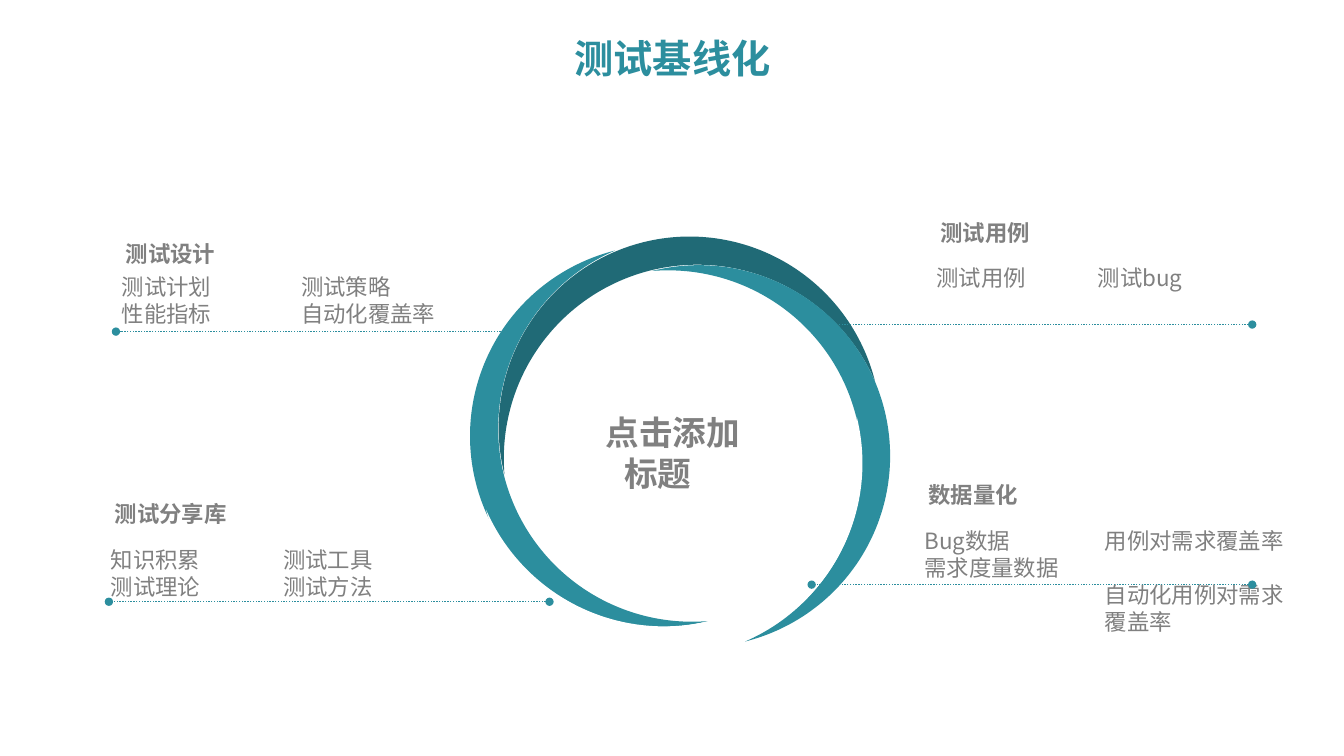
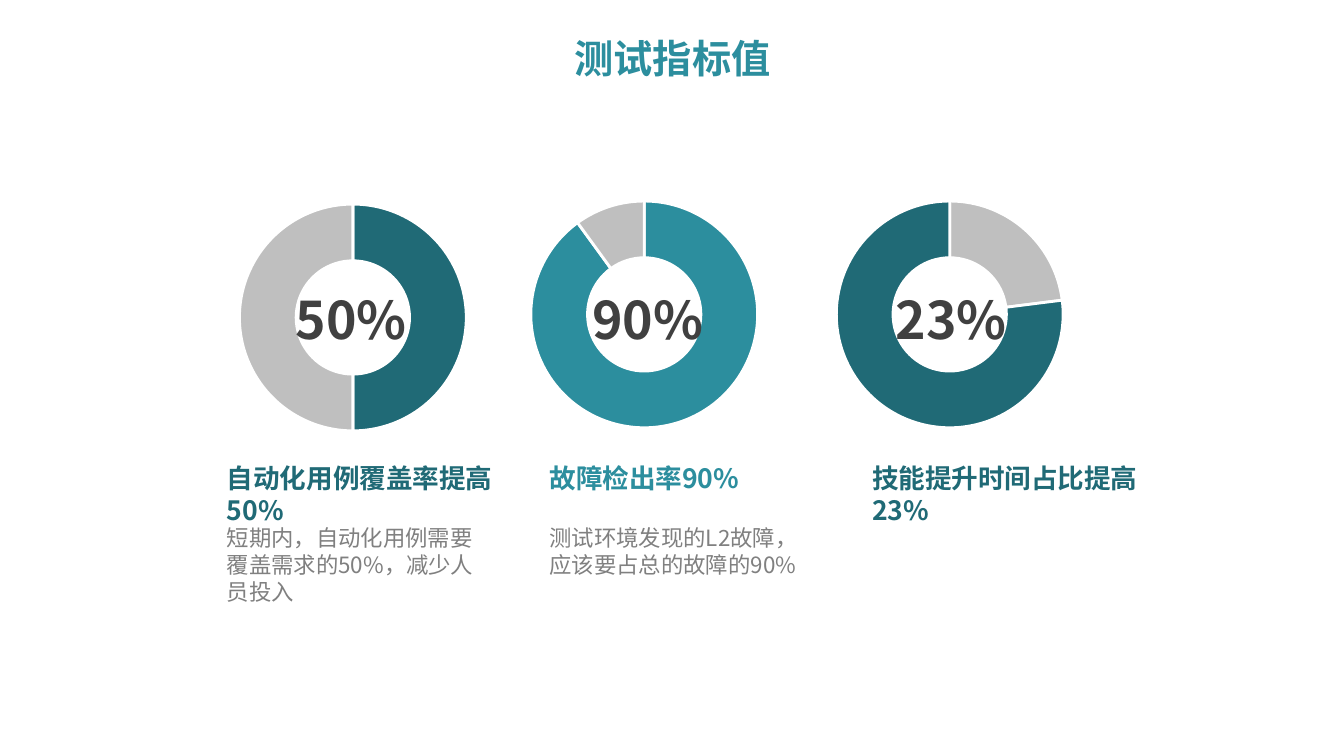
from pptx import Presentation
from pptx.chart.data import CategoryChartData
from pptx.dml.color import RGBColor
from pptx.enum import chart as charts, dml, shapes, text
from pptx.oxml import parse_xml
from pptx.oxml.ns import nsdecls, qn
from pptx.util import Inches, Pt

TEAL, DARK, SILVER = "2C8E9E", "206A76", "BFBFBF"
GREY, INK, WHITE = "808080", "404040", "FFFFFF"
FONT, TITLE_FONT = "Noto Sans CJK SC", "Montserrat"

# Slide 1: ring of moons (left, top, rotation, colour)
RING = [
    (4.69, 2.66, 345.9, TEAL),
    (5.66, 1.43, 75.9, DARK),
    (6.9, 2.4, 165.9, TEAL),
    (5.94, 3.62, 255.9, WHITE),
]
CENTRE = ["点击添加", "标题"]

# Topics around the ring; rule is (right end, left end, height)
TOPICS = [
    dict(heading="测试设计", left=1.11, heading_top=2.33, body_top=2.66, step=1.78,
         columns=[["测试计划", "性能指标"], ["测试策略", "自动化覆盖率"]],
         rule=(5.03, 1.15, 3.29)),
    dict(heading="测试分享库", left=1, heading_top=4.91, body_top=5.37, step=1.71,
         columns=[["知识积累", "测试理论"], ["测试工具", "测试方法"]],
         rule=(5.45, 1.08, 5.97)),
    dict(heading="测试用例", left=9.19, heading_top=2.12, body_top=2.57, step=1.6,
         columns=[["测试用例"], ["测试bug"]],
         rule=(12.42, 8.05, 3.22)),
    dict(heading="数据量化", left=9.07, heading_top=4.72, body_top=5.18, step=1.79,
         columns=[["Bug数据", "需求度量数据"],
                  ["用例对需求覆盖率", "自动化用例对需求覆盖率"]],
         gaps=(0, 19.5), rule=(12.42, 8.05, 5.8)),
]

# Slide 2: chart box, label left, slices (value, colour), caption
METRICS = [
    dict(chart=(1.93, 1.89, 3.14), label="50%", label_left=2.82,
         slices=[(50, DARK), (None, TEAL), (50, SILVER)],
         left=2.18, width=2.82, colour=DARK,
         heading="自动化用例覆盖率提高50%",
         body="短期内，自动化用例需要覆盖需求的50%，减少人员投入"),
    dict(chart=(4.29, 1.86, 4.2), label="90%", label_left=5.76,
         slices=[(90, TEAL), (None, TEAL), (10, SILVER)],
         left=5.38, width=2.82, colour=TEAL,
         heading="故障检出率90%",
         body="测试环境发现的L2故障，应该要占总的故障的90%"),
    dict(chart=(7.32, 1.86, 4.2), label="23%", label_left=8.77,
         slices=[(23, SILVER), (None, TEAL), (77, DARK)],
         left=8.58, width=2.92, colour=DARK,
         heading="技能提升时间占比提高23%", body=None),
]
CHART_HEIGHT, DONUT = 2.52, 2.25


def rgb(colour):
    return RGBColor.from_string(colour)


def style(paragraph, size, colour, bold=False, latin=FONT):
    for run in paragraph.runs:
        run.font.size, run.font.bold, run.font.name = Pt(size), bold, latin
        run.font.color.rgb = rgb(colour)
        run.font._element.find(qn("a:latin")).addnext(
            parse_xml(f'<a:ea {nsdecls("a")} typeface="{FONT}"/>'))


def add_text(slide, box, lines, size=16, colour=GREY, bold=False,
             align=None, margins=(0.1, 0.05), wrap=True, gap=0):
    frame = slide.shapes.add_textbox(*map(Inches, box)).text_frame
    frame.word_wrap = wrap
    frame.margin_left = frame.margin_right = Inches(margins[0])
    frame.margin_top = frame.margin_bottom = Inches(margins[1])
    frame.text = "\n".join(lines)
    for paragraph in frame.paragraphs:
        paragraph.alignment = align
        style(paragraph, size, colour, bold)
    frame.paragraphs[0].space_after = Pt(gap)
    return frame


def add_filled(slide, kind, box, colour):
    shape = slide.shapes.add_shape(kind, *map(Inches, box))
    shape.shadow.inherit = False
    shape.fill.solid()
    shape.fill.fore_color.rgb = rgb(colour)
    shape.line.fill.background()
    return shape


def add_master_panel(deck, slide):
    # Masters cannot create shapes, so the panel is drawn and then moved
    panel = add_filled(slide, shapes.MSO_SHAPE.RECTANGLE,
                       (0, 0.98, 13.33, 6.52), WHITE)
    panel._element.spPr.find(qn("a:solidFill"))[0].append(
        parse_xml(f'<a:alpha {nsdecls("a")} val="92000"/>'))
    deck.slide_master.shapes._spTree.insert(2, panel._element)


def add_slide(deck, heading):
    slide = deck.slides.add_slide(deck.slide_layouts[5])
    title = slide.shapes.title
    title.left, title.top, title.width, title.height = map(
        Inches, (0.92, 0.23, 11.5, 0.75))
    frame = title.text_frame
    frame.text = heading
    frame.vertical_anchor = text.MSO_ANCHOR.MIDDLE
    frame.paragraphs[0].alignment = text.PP_ALIGN.CENTER
    frame.paragraphs[0].line_spacing = 0.9
    style(frame.paragraphs[0], 28, TEAL, True, TITLE_FONT)
    return slide


def add_moon(slide, left, top, rotation, colour):
    moon = add_filled(slide, shapes.MSO_SHAPE.MOON, (left, top, 1.9, 3.79), colour)
    moon.adjustments[0] = 0.152
    moon.rotation = rotation


def add_rule(slide, start, end, y):
    rule = slide.shapes.add_connector(shapes.MSO_CONNECTOR.STRAIGHT,
                                      *map(Inches, (start, y, end, y)))
    rule.line.color.rgb = rgb(TEAL)
    rule.line.width = Pt(1)
    rule.line.dash_style = dml.MSO_LINE.ROUND_DOT
    for tag in ("headEnd", "tailEnd"):
        rule.line._get_or_add_ln().append(
            parse_xml(f'<a:{tag} {nsdecls("a")} type="oval"/>'))
    rule._element.spPr.append(parse_xml(f'<a:effectLst {nsdecls("a")}/>'))


def add_topic(slide, topic):
    left, step = topic["left"], topic["step"]
    gaps = topic.get("gaps", (0, 0))
    for i, (lines, gap) in enumerate(zip(topic["columns"], gaps)):
        add_text(slide, (left + i * step, topic["body_top"], step + 0.2, 0.64),
                 lines, gap=gap)
    add_text(slide, (left + 0.04, topic["heading_top"], step * 1.4, 0.37),
             [topic["heading"]], bold=True)
    add_rule(slide, *topic["rule"])


def add_donut(slide, left, top, width, slices):
    data = CategoryChartData()
    data.categories = [str(i + 1) for i in range(len(slices))]
    data.add_series("Series 1", [value for value, _ in slices])
    chart = slide.shapes.add_chart(
        charts.XL_CHART_TYPE.DOUGHNUT,
        *map(Inches, (left, top, width, CHART_HEIGHT)), data).chart
    chart.has_legend = chart.has_title = False
    chart.font.size, chart.font.name = Pt(10), "Arial"
    chart.font.color.rgb = rgb("000000")
    plot = chart.plots[0]
    plot.vary_by_categories = True
    plot._element.find(qn("c:holeSize")).set("val", "75")
    for i, (_, colour) in enumerate(slices):
        point = plot.series[0].points[i].format
        point.fill.solid()
        point.fill.fore_color.rgb = rgb(colour)
        point.line.color.rgb = rgb(WHITE)
        point.line.width = Pt(2)
    # Centre the ring in its frame at a fixed diameter
    w, h = DONUT / width, DONUT / CHART_HEIGHT
    area = plot._element.getparent()
    for layout in area.findall(qn("c:layout")):
        area.remove(layout)
    area.insert(0, parse_xml(
        f'<c:layout {nsdecls("c")}><c:manualLayout><c:layoutTarget val="inner"/>'
        '<c:xMode val="edge"/><c:yMode val="edge"/>'
        f'<c:x val="{(1 - w) / 2:.4f}"/><c:y val="{(1 - h) / 2:.4f}"/>'
        f'<c:w val="{w:.4f}"/><c:h val="{h:.4f}"/>'
        '</c:manualLayout></c:layout>'))


def add_metric(slide, metric):
    add_donut(slide, *metric["chart"], metric["slices"])
    add_text(slide, (metric["label_left"], 2.81, 1.33, 0.72), [metric["label"]],
             37, INK, True, text.PP_ALIGN.CENTER, wrap=False)
    if metric["body"]:
        add_text(slide, (metric["left"], 5.2, 2.59, 0.68), [metric["body"]],
                 margins=(0.07, 0))
    add_text(slide, (metric["left"], 4.54, metric["width"], 0.72),
             [metric["heading"]], 19, metric["colour"], True, margins=(0.07, 0.04))


def main():
    deck = Presentation()
    deck.slide_width, deck.slide_height = Inches(13.33), Inches(7.5)

    baseline = add_slide(deck, "测试基线化")
    add_master_panel(deck, baseline)
    for moon in RING:
        add_moon(baseline, *moon)
    centre = add_text(baseline, (5.88, 4.04, 1.59, 0.91), CENTRE, 24, bold=True,
                      align=text.PP_ALIGN.CENTER)
    # A right indent sets the second line slightly left of centre
    centre.paragraphs[1]._p.get_or_add_pPr().set("marR", str(Inches(0.3)))
    for topic in TOPICS:
        add_topic(baseline, topic)

    targets = add_slide(deck, "测试指标值")
    for metric in METRICS:
        add_metric(targets, metric)

    deck.save("out.pptx")


if __name__ == "__main__":
    main()
